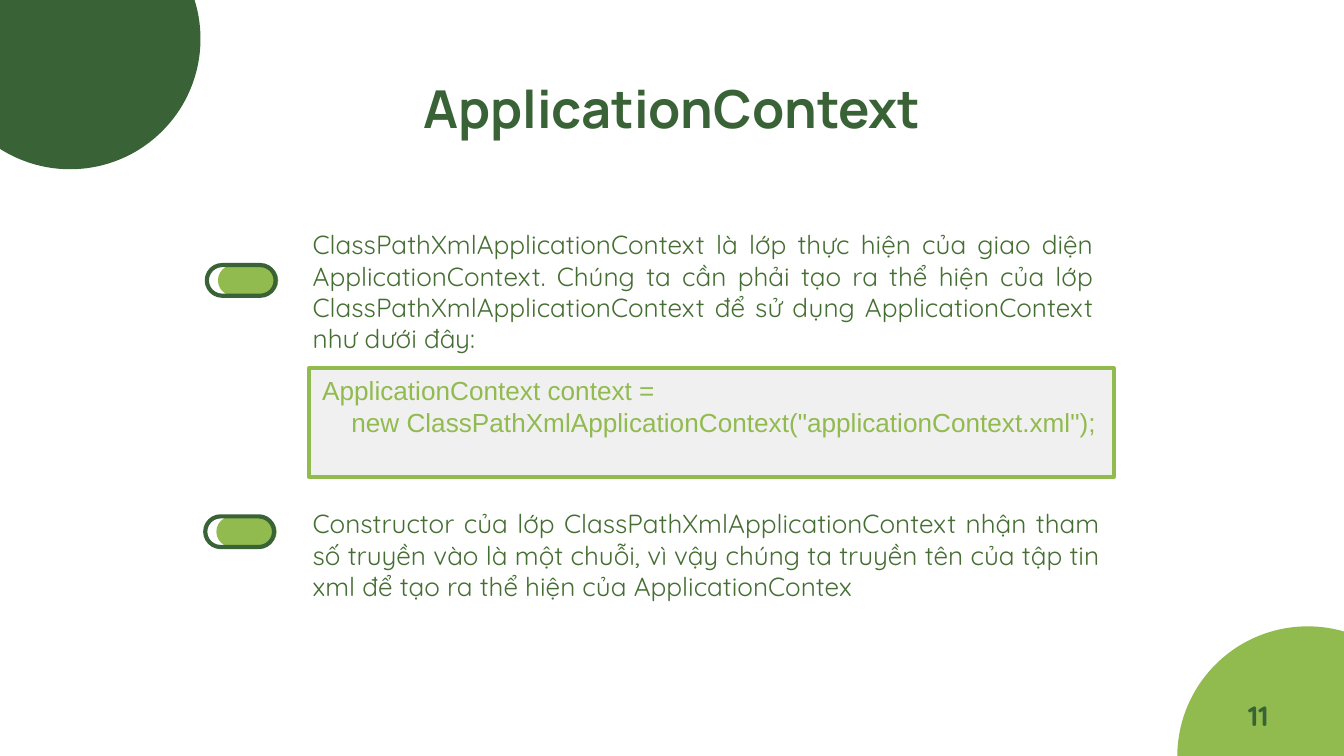
from pptx import Presentation
from pptx.dml.color import RGBColor
from pptx.enum.shapes import MSO_SHAPE as Preset
from pptx.enum.text import MSO_ANCHOR as Anchor, PP_ALIGN as Align
from pptx.util import Cm, Pt

DARK = RGBColor(0x39, 0x63, 0x36)
LIGHT = RGBColor(0x91, 0xBA, 0x4F)
BODY = RGBColor(0x45, 0x6E, 0x32)
GREY = RGBColor(0xF0, 0xF0, 0xF0)

deck = Presentation()
deck.slide_width, deck.slide_height = Cm(25.4), Cm(14.29)
page = deck.slides.add_slide(deck.slide_layouts[6])


def add_figure(preset, left, top, width, height, fill=None, line=None, weight=2.25):
    figure = page.shapes.add_shape(preset, Cm(left), Cm(top), Cm(width), Cm(height))
    figure.shadow.inherit = False
    if fill is None:
        figure.fill.background()
    else:
        figure.fill.solid()
        figure.fill.fore_color.rgb = fill
    if line is None:
        figure.line.fill.background()
    else:
        figure.line.color.rgb = line
        figure.line.width = Pt(weight)
    return figure


def add_text(left, top, width, height, text, font, size, color,
             align=Align.LEFT, bold=False, inset=0.25):
    box = page.shapes.add_textbox(Cm(left), Cm(top), Cm(width), Cm(height))
    frame = box.text_frame
    frame.word_wrap = True
    frame.margin_left = frame.margin_right = Cm(0.25)
    frame.margin_top = frame.margin_bottom = Cm(inset)
    para = frame.paragraphs[0]
    para.text = text
    para.alignment = align
    para.font.name, para.font.size, para.font.bold = font, Pt(size), bold
    para.font.color.rgb = color
    return frame


# Corner circles
for left, top, color in [(-1.14, -1.73, DARK), (22.25, 11.84, LIGHT)]:
    add_figure(Preset.OVAL, left, top, 4.93, 4.93, color)

# Title
title = add_text(0.86, 1.24, 23.67, 1.6, "ApplicationContext", "Manrope", 28, DARK,
                 Align.CENTER, bold=True)
title.vertical_anchor = Anchor.MIDDLE

# Pill markers: a light core under a dark outline
for left, top in [(4.27, 4.65), (4.24, 9.4)]:
    for shift, length, fill, line in [(0.13, 1.14, LIGHT, None), (0, 1.3, None, DARK)]:
        pill = add_figure(Preset.ROUND_2_SAME_RECTANGLE, left + shift,
                          top + (1.3 - length) / 2, 0.58, length, fill, line)
        pill.adjustments[0] = pill.adjustments[1] = 0.5
        pill.rotation = 270

# Explanations
explanations = [
    (4.19, 15.27, 2.64,
     "ClassPathXmlApplicationContext là lớp thực hiện của giao diện "
     "ApplicationContext. Chúng ta cần phải tạo ra thể hiện của lớp "
     "ClassPathXmlApplicationContext để sử dụng ApplicationContext "
     "như dưới đây:"),
    (9.47, 15.39, 2.06,
     "Constructor của lớp ClassPathXmlApplicationContext nhận tham số "
     "truyền vào là một chuỗi, vì vậy chúng ta truyền tên của tập tin xml "
     "để tạo ra thể hiện của ApplicationContex"),
]
for top, width, height, text in explanations:
    add_text(5.66, top, width, height, text, "Quicksand", 14, BODY,
             Align.JUSTIFY, inset=0.13)

# Code box
code = add_figure(Preset.RECTANGLE, 5.84, 6.96, 15.21, 2.06, GREY, LIGHT, 2).text_frame
code.word_wrap = False
code.vertical_anchor = Anchor.TOP
code.text = ('ApplicationContext context =\n'
             'new ClassPathXmlApplicationContext("applicationContext.xml");')
for para in code.paragraphs:
    para.alignment = Align.LEFT
    para.font.name, para.font.size = "Arial", Pt(14)
    para.font.color.rgb = LIGHT
# Indent of the continuation line
indent = code.paragraphs[1]._p.get_or_add_pPr()
indent.set("marL", str(Cm(0.55)))
indent.set("indent", "0")

# Page number
add_text(23.34, 12.95, 1.4, 0.8, "11", "Quicksand", 15, DARK, bold=True)

deck.save("out.pptx")
